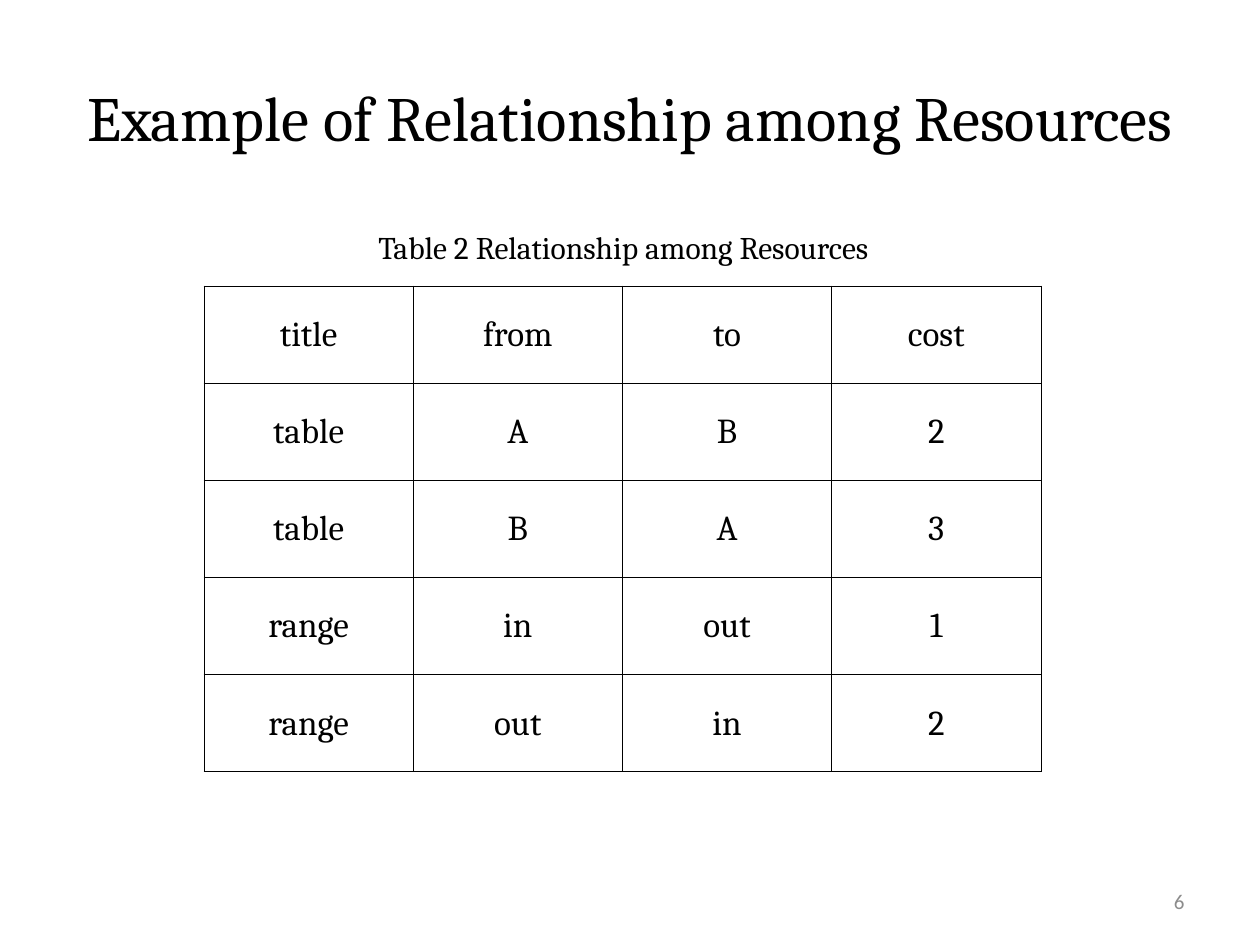
from dataclasses import dataclass

from lxml import etree
from pptx import Presentation
from pptx.dml.color import RGBColor
from pptx.enum.text import MSO_ANCHOR, PP_ALIGN
from pptx.oxml.ns import qn
from pptx.util import Pt

MIDDLE, TOP = MSO_ANCHOR.MIDDLE, MSO_ANCHOR.TOP
LEFT, CENTER, RIGHT = PP_ALIGN.LEFT, PP_ALIGN.CENTER, PP_ALIGN.RIGHT
TITLE_ONLY = 5


@dataclass(frozen=True)
class Theme:
    ink: str = "000000"
    muted: str = "8C8C8C"
    paper: str = "FFFFFF"
    serif: str = "Cambria"
    sans: str = "Calibri"
    title: int = 36
    cell: int = 20
    caption: int = 18
    number: int = 12
    border: float = 0.5


theme = Theme()


def px(length):
    return round(length * 914400 / 126)


def write(frame, text, size, align, font=theme.serif, color=theme.ink):
    paragraph = frame.paragraphs[0]
    paragraph.alignment = align
    run = paragraph.add_run()
    run.text = text
    run.font.size = Pt(size)
    run.font.name = font
    run.font.color.rgb = RGBColor.from_string(color)


deck = Presentation()
deck.slide_width, deck.slide_height = px(1260), px(945)
slide = deck.slides.add_slide(deck.slide_layouts[TITLE_ONLY])
slide.background.fill.solid()
slide.background.fill.fore_color.rgb = RGBColor.from_string(theme.paper)

# Title
title = slide.shapes.title
title.left, title.top, title.width, title.height = px(63), px(38), px(1134), px(157)
title.text_frame.vertical_anchor = MIDDLE
write(title.text_frame, "Example of Relationship among Resources", theme.title, CENTER)

# Slide number
number = slide.shapes.add_textbox(px(903), px(876), px(294), px(50)).text_frame
number.word_wrap = True
number.vertical_anchor = MIDDLE
write(number, "6", theme.number, RIGHT, theme.sans, theme.muted)

# Table of relationships
relationships = [
    ("title", "from", "to", "cost"),
    ("table", "A", "B", "2"),
    ("table", "B", "A", "3"),
    ("range", "in", "out", "1"),
    ("range", "out", "in", "2"),
]
table = slide.shapes.add_table(
    len(relationships), len(relationships[0]), px(204), px(286), px(837), px(486)
).table
table.first_row = table.horz_banding = False

for row, values in enumerate(relationships):
    for column, value in enumerate(values):
        cell = table.cell(row, column)
        cell.margin_left = cell.margin_right = cell.margin_top = px(1)
        cell.margin_bottom = 0
        cell.vertical_anchor = MIDDLE
        write(cell.text_frame, value, theme.cell, CENTER)
        # Borders come before the fill in the cell properties
        properties = cell._tc.get_or_add_tcPr()
        for side in ("a:lnL", "a:lnR", "a:lnT", "a:lnB"):
            edge = etree.SubElement(properties, qn(side), w=str(Pt(theme.border)))
            paint = etree.SubElement(edge, qn("a:solidFill"))
            etree.SubElement(paint, qn("a:srgbClr"), val=theme.ink)
        cell.fill.solid()
        cell.fill.fore_color.rgb = RGBColor.from_string(theme.paper)

# Table caption
caption = slide.shapes.add_textbox(px(366), px(222), px(521), px(50)).text_frame
caption.word_wrap = False
caption.vertical_anchor = TOP
write(caption, "Table 2 Relationship among Resources", theme.caption, LEFT)

deck.save("out.pptx")
